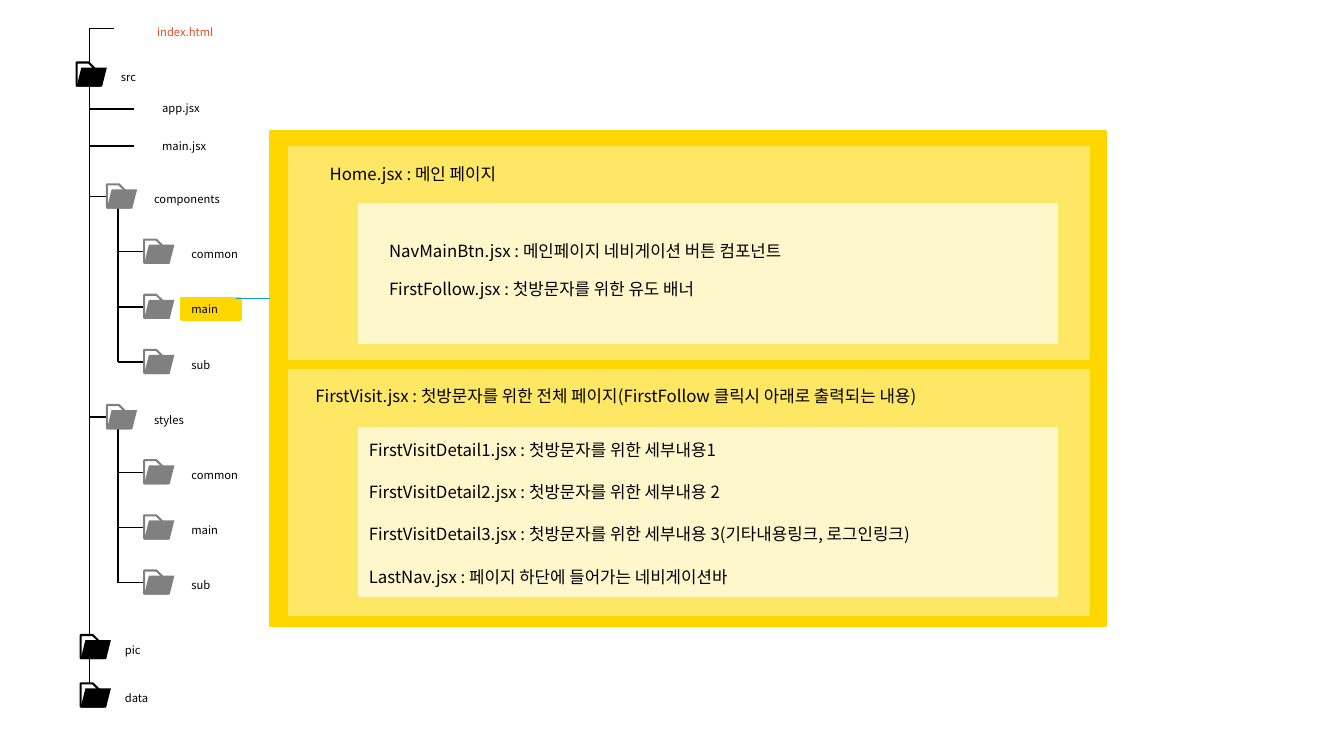
from lxml import etree
from pptx import Presentation
from pptx.dml.color import RGBColor
from pptx.enum import shapes as kinds
from pptx.oxml import ns
from pptx.util import Inches, Pt

FONT = "Noto Sans CJK KR"
COLORS = {
    "black": "000000", "gray": "808080", "white": "FFFFFF", "orange": "E54D26",
    "gold": "FFD700", "yellow": "FFE766", "cream": "FFF7CC", "blue": "0F9ED5",
}

presentation = Presentation()
presentation.slide_width = Inches(13.33)
presentation.slide_height = Inches(7.5)
slide = presentation.slides.add_slide(presentation.slide_layouts[6])


def add_box(kind, left, top, width, height, fill, line=None, adjustment=None):
    """Add a filled preset shape, outlined only when a line colour is given."""
    shape = slide.shapes.add_shape(
        kind, Inches(left), Inches(top), Inches(width), Inches(height))
    shape.shadow.inherit = False
    shape.fill.solid()
    shape.fill.fore_color.rgb = RGBColor.from_string(COLORS[fill])
    if line:
        shape.line.color.rgb = RGBColor.from_string(COLORS[line])
        shape.line.width = Pt(1.5)
    else:
        shape.line.fill.background()
    if adjustment:
        shape.adjustments[0] = adjustment


def add_label(words, left, top, width, height, size, color="black"):
    """Add one line of text, with the font set for Latin and Korean letters."""
    box = slide.shapes.add_textbox(
        Inches(left), Inches(top), Inches(width), Inches(height))
    box.text_frame.word_wrap = True
    box.text_frame.text = words
    run = box.text_frame.paragraphs[0].runs[0]
    run.font.size = Pt(size)
    run.font.color.rgb = RGBColor.from_string(COLORS[color])
    run.font.name = FONT
    etree.SubElement(run.font._element, ns.qn("a:ea"), typeface=FONT)


# Panels, from the outer frame to the inner lists, and the highlighted folder
panels = [
    (2.68, 1.3, 8.29, 4.91, "gold"),
    (2.87, 1.46, 7.93, 2.1, "yellow"),
    (3.56, 2.02, 6.92, 1.38, "cream"),
    (2.87, 3.67, 7.93, 2.43, "yellow"),
    (3.56, 4.25, 6.92, 1.66, "cream"),
    (1.8, 2.96, 0.59, 0.21, "gold"),
]
for left, top, width, height, color in panels:
    add_box(kinds.MSO_SHAPE.RECTANGLE, left, top, width, height, color, color)

descriptions = [
    ("Home.jsx : 메인 페이지", 3.17, 1.58),
    ("NavMainBtn.jsx : 메인페이지 네비게이션 버튼 컴포넌트", 3.76, 2.34),
    ("FirstFollow.jsx : 첫방문자를 위한 유도 배너", 3.76, 2.72),
    ("FirstVisit.jsx : 첫방문자를 위한 전체 페이지(FirstFollow 클릭시 아래로 출력되는 내용)", 3.03, 3.78),
    ("FirstVisitDetail1.jsx : 첫방문자를 위한 세부내용1", 3.56, 4.31),
    ("FirstVisitDetail2.jsx : 첫방문자를 위한 세부내용 2", 3.56, 4.73),
    ("FirstVisitDetail3.jsx : 첫방문자를 위한 세부내용 3(기타내용링크, 로그인링크)", 3.56, 5.15),
    ("LastNav.jsx : 페이지 하단에 들어가는 네비게이션바", 3.56, 5.57),
]
for words, left, top in descriptions:
    add_label(words, left, top, 6.88, 0.3, 12)

# Folder tree: name, left, top, gap before the name, colour
TRUNK, BRANCH = 0.89, 1.17
folders = [
    ("src", 0.76, 0.62, 0.34, "black"),
    ("pic", 0.8, 6.3, 0.34, "black"),
    ("data", 0.8, 6.78, 0.34, "black"),
]
tree_lines = [
    (TRUNK, 0.28, TRUNK, 6.85, "black"),
    (TRUNK, 0.28, 1.13, 0.28, "black"),
    (TRUNK, 1.08, 1.33, 1.08, "black"),
    (TRUNK, 1.45, 1.33, 1.45, "black"),
    (BRANCH, 2.04, BRANCH, 3.59, "black"),
    (BRANCH, 4.22, BRANCH, 5.78, "black"),
    (2.34, 2.96, 2.68, 2.96, "blue"),
]
FIRST_TOP, LAST_TOP = 1.83, 5.66
names = ["components", "common", "main", "sub", "styles", "common", "main", "sub"]
for row, name in enumerate(names):
    top = FIRST_TOP + row * (LAST_TOP - FIRST_TOP) / (len(names) - 1)
    is_parent = name in ("components", "styles")
    left = 1.06 if is_parent else 1.43
    folders.append((name, left, top, 0.37, "gray"))
    start, end = (TRUNK, 1.1) if is_parent else (BRANCH, 1.49)
    tree_lines.append((start, top + 0.12, end, top + 0.12, "black"))

for x1, y1, x2, y2, color in tree_lines:
    connector = slide.shapes.add_connector(
        kinds.MSO_CONNECTOR.STRAIGHT, Inches(x1), Inches(y1), Inches(x2), Inches(y2))
    connector.line.color.rgb = RGBColor.from_string(COLORS[color])
    connector.line.width = Pt(1)
    etree.SubElement(connector._element.spPr, ns.qn("a:effectLst"))

for name, left, top, gap, color in folders:
    add_box(kinds.MSO_SHAPE.SNIP_1_RECTANGLE, left, top, 0.23, 0.23, "white", color, 0.477)
    add_box(kinds.MSO_SHAPE.PARALLELOGRAM, left, top + 0.05, 0.3, 0.19, color, None, 0.25)
    add_label(name, left + gap, top + 0.03, 1.2, 0.23, 8)

files = [
    ("index.html", 1.46, 0.2, "orange"),
    ("app.jsx", 1.51, 0.96, "black"),
    ("main.jsx", 1.51, 1.33, "black"),
]
for name, left, top, color in files:
    add_label(name, left, top, 0.8, 0.23, 8, color)

presentation.save("out.pptx")
